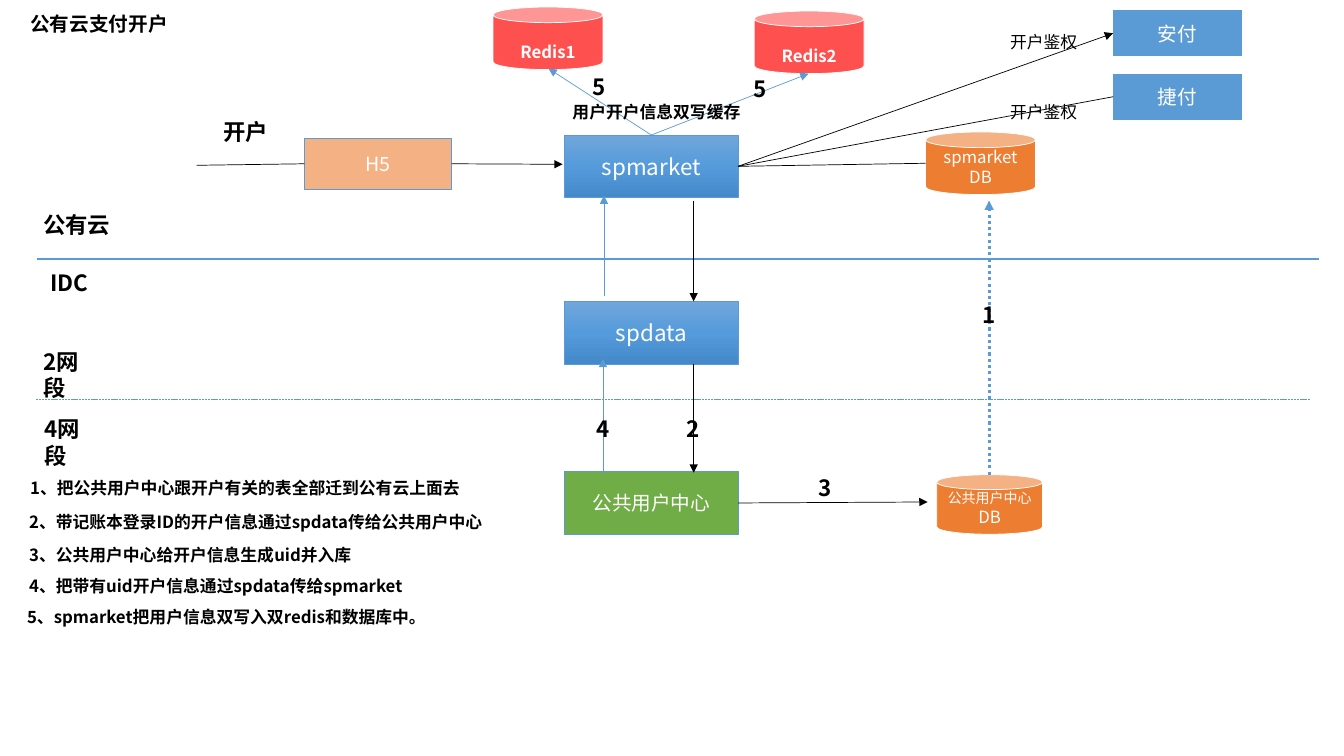
from copy import deepcopy

from pptx import Presentation, util as u
from pptx.dml.color import RGBColor
from pptx.enum import dml, shapes, text
from pptx.oxml.ns import qn
from pptx.oxml.xmlchemy import OxmlElement

CELL = u.Inches(0.1)  # the slide is a grid of 133.3 columns by 75 rows
COLUMNS, ROWS = 133.3, 75
FONT = "Noto Sans CJK SC"

BLACK = RGBColor(0x00, 0x00, 0x00)
WHITE = RGBColor(0xFF, 0xFF, 0xFF)
BLUE = RGBColor(0x5B, 0x9B, 0xD5)
ORANGE = RGBColor(0xED, 0x7D, 0x31)
PEACH = RGBColor(0xF4, 0xB1, 0x83)
RED = RGBColor(0xFF, 0x50, 0x50)
GREEN = RGBColor(0x70, 0xAD, 0x47)
SERVICE_BLUES = (
    (0, RGBColor(0x71, 0xA6, 0xDB)),
    (0.5, RGBColor(0x55, 0x9B, 0xDB)),
    (1, RGBColor(0x44, 0x8A, 0xCA)),
)

RECT = shapes.MSO_SHAPE.RECTANGLE
PROCESS = shapes.MSO_SHAPE.FLOWCHART_PROCESS
CAN = shapes.MSO_SHAPE.CAN
LEFT_SIDE, RIGHT_SIDE, TOP_SIDE = 1, 3, 0
SERVICE_LEFT, SERVICE_SIZE = 56, (17.2, 6.2)
CAN_SIZE = (10.9, 6.2)
PARTNER_SIZE = (12.8, 4.6)


def cells(*counts):
    return [round(count * CELL) for count in counts]


def add_run(paragraph, words, size, color, bold=False):
    run = paragraph.add_run()
    run.text = words
    run.font.size = u.Pt(size)
    run.font.bold = bold
    run.font.color.rgb = color
    run.font.name = FONT
    east_asian = OxmlElement("a:ea")
    east_asian.set("typeface", FONT)
    run.font._element.append(east_asian)


def fill_gradient(node, stops):
    """Fill from top to bottom with three colour stops."""
    node.fill.gradient()
    node.fill.gradient_angle = 270
    stop_list = node._element.spPr.find(".//" + qn("a:gsLst"))
    stop_list.insert(1, deepcopy(stop_list[0]))
    for stop, (position, color) in zip(node.fill.gradient_stops, stops):
        stop.position = position
        stop.color.rgb = color


def add_node(slide, kind, place, size, fill, lines, outline=None, bold=False):
    """Add a box or store; lines holds a (words, point size) pair per paragraph."""
    node = slide.shapes.add_shape(kind, *cells(*place, *size))
    node.shadow.inherit = False
    if isinstance(fill, RGBColor):
        node.fill.solid()
        node.fill.fore_color.rgb = fill
    else:
        fill_gradient(node, fill)
    if outline is None:
        node.line.fill.background()
    else:
        node.line.color.rgb = outline
        node.line.width = u.Pt(0.5)
    frame = node.text_frame
    frame.word_wrap = True
    frame.vertical_anchor = text.MSO_ANCHOR.MIDDLE
    for index, (words, points) in enumerate(lines):
        paragraph = frame.add_paragraph() if index else frame.paragraphs[0]
        paragraph.alignment = text.PP_ALIGN.CENTER
        add_run(paragraph, words, points, WHITE, bold)
    return node


def add_service(slide, top, name, fill=SERVICE_BLUES, points=16):
    return add_node(slide, RECT, (SERVICE_LEFT, top), SERVICE_SIZE, fill,
                    [(name, points)], BLUE)


def add_redis(slide, place, name):
    store = add_node(slide, CAN, place, CAN_SIZE, RED, [(name, 12)], WHITE, bold=True)
    store.text_frame.vertical_anchor = text.MSO_ANCHOR.BOTTOM
    store.text_frame.margin_bottom = 0


def add_link(slide, start, end, color=BLACK, width=0.5, arrow=True, dash=None,
             source=None, target=None):
    """Draw a line; source and target are (node, side) pairs to join."""
    link = slide.shapes.add_connector(
        shapes.MSO_CONNECTOR.STRAIGHT, *cells(*start, *end))
    if source:
        link.begin_connect(*source)
    if target:
        link.end_connect(*target)
    link.line.color.rgb = color
    link.line.width = u.Pt(width)
    if dash:
        link.line.dash_style = dash
    if arrow:
        tail = OxmlElement("a:tailEnd")
        tail.set("type", "triangle")
        link.line._get_or_add_ln().append(tail)
    link._element.spPr.append(OxmlElement("a:effectLst"))


def add_label(slide, place, size, words, points=16, bold=True, wrap=False):
    label = slide.shapes.add_textbox(*cells(*place, *size))
    frame = label.text_frame
    frame.word_wrap = wrap
    frame.auto_size = text.MSO_AUTO_SIZE.SHAPE_TO_FIT_TEXT
    add_run(frame.paragraphs[0], words, points, BLACK, bold)


def set_title(slide, words):
    title = slide.shapes.title
    title.left, title.top, title.width, title.height = cells(2, 0.7, 19.2, 3.5)
    frame = title.text_frame
    frame.word_wrap = True
    frame.auto_size = text.MSO_AUTO_SIZE.SHAPE_TO_FIT_TEXT
    frame.vertical_anchor = text.MSO_ANCHOR.TOP
    frame.paragraphs[0].alignment = text.PP_ALIGN.LEFT
    add_run(frame.paragraphs[0], words, 14, BLACK, bold=True)


def main():
    deck = Presentation()
    deck.slide_width, deck.slide_height = cells(COLUMNS, ROWS)
    slide = deck.slides.add_slide(deck.slide_layouts.get_by_name("Title Only"))
    set_title(slide, "公有云支付开户")

    h5 = add_node(slide, RECT, (30.2, 13.7), (14.6, 5.1), PEACH, [("H5", 14)], BLUE)
    spmarket = add_service(slide, 13.4, "spmarket")
    add_service(slide, 29.9, "spdata")
    user_center = add_service(slide, 46.8, "公共用户中心", GREEN, 14)
    add_redis(slide, (48.9, 0.7), "Redis1")
    add_redis(slide, (74.8, 1.1), "Redis2")
    add_node(slide, CAN, (91.8, 13.1), CAN_SIZE, ORANGE,
             [("spmarket", 12), ("DB", 12)], WHITE)
    add_node(slide, CAN, (92.9, 47.1), (10.5, 5.9), ORANGE,
             [("公共用户中心", 10), ("DB", 12)], WHITE)
    first_partner, second_partner = [
        add_node(slide, PROCESS, (110.4, top), PARTNER_SIZE, BLUE, [(name, 14)])
        for top, name in ((1, "安付"), (7.3, "捷付"))]

    # Zone borders
    add_link(slide, (3.7, 25.7), (130.8, 25.7), BLUE, 2, arrow=False)
    add_link(slide, (3.6, 39.6), (130, 39.6), BLUE, arrow=False,
             dash=dml.MSO_LINE.SQUARE_DOT)

    # Account opening request and its partners
    market_right = (spmarket, RIGHT_SIDE)
    add_link(slide, (19.5, 16.4), (30.2, 16.3), arrow=False, target=(h5, LEFT_SIDE))
    add_link(slide, (44.8, 16.3), (55.8, 16.3), source=(h5, RIGHT_SIDE))
    add_link(slide, (73.2, 16.5), (91.8, 16.2), arrow=False, source=market_right)
    for partner, arrow in ((first_partner, True), (second_partner, False)):
        add_link(slide, (73.2, 16.5), (110.4, 9.6), arrow=arrow,
                 source=market_right, target=(partner, LEFT_SIDE))
    for redis_bottom in ((54.4, 6.8), (80.2, 7.3)):
        add_link(slide, (64.6, 13.4), redis_bottom, BLUE, source=(spmarket, TOP_SIDE))

    # Data passed between the layers
    for column, start, end, color in (
            (59.9, 29.4, 19.4, BLUE), (59.8, 47.1, 35.6, BLUE),
            (68.8, 19.9, 29.9, BLACK), (68.8, 36.1, 46.9, BLACK)):
        add_link(slide, (column, start), (column, end), color)
    add_link(slide, (73.2, 49.9), (92, 49.8), source=(user_center, RIGHT_SIDE))
    add_link(slide, (98.1, 47.1), (98.1, 19.9), BLUE, 2.25,
             dash=dml.MSO_LINE.ROUND_DOT)

    add_label(slide, (3.3, 20.5), (8.7, 3.9), "公有云")
    add_label(slide, (4, 26.2), (6.1, 3.7), "IDC")
    add_label(slide, (21.2, 11.2), (6.4, 3.9), "开户")
    for place, segment in (((3.3, 34), "2网段"), ((3.4, 40.7), "4网段")):
        add_label(slide, place, (7.7, 3.9), segment, wrap=True)
    for top in (2.7, 9.6):
        add_label(slide, (99.2, top), (8.7, 3.1), "开户鉴权", 12, bold=False)
    add_label(slide, (55.8, 9.6), (18.7, 3.1), "用户开户信息双写缓存", 12)

    for place, step in (((96.5, 29.4), "1"), ((67.1, 40.7), "2"), ((80.2, 46.5), "3"),
                        ((58.2, 40.7), "4"), ((57.8, 6.8), "5"), ((73.8, 7), "5")):
        add_label(slide, place, (3.4, 3.9), step, wrap=True)
    for place, explanation in (
            ((2, 46.9), "1、把公共用户中心跟开户有关的表全部迁到公有云上面去"),
            ((1.9, 50.3), "2、带记账本登录ID的开户信息通过spdata传给公共用户中心"),
            ((1.9, 53.5), "3、公共用户中心给开户信息生成uid并入库"),
            ((1.9, 56.6), "4、把带有uid开户信息通过spdata传给spmarket"),
            ((1.7, 59.7), "5、spmarket把用户信息双写入双redis和数据库中。")):
        add_label(slide, place, (49.1, 3.1), explanation, 12, wrap=True)

    deck.save("out.pptx")


if __name__ == "__main__":
    main()
